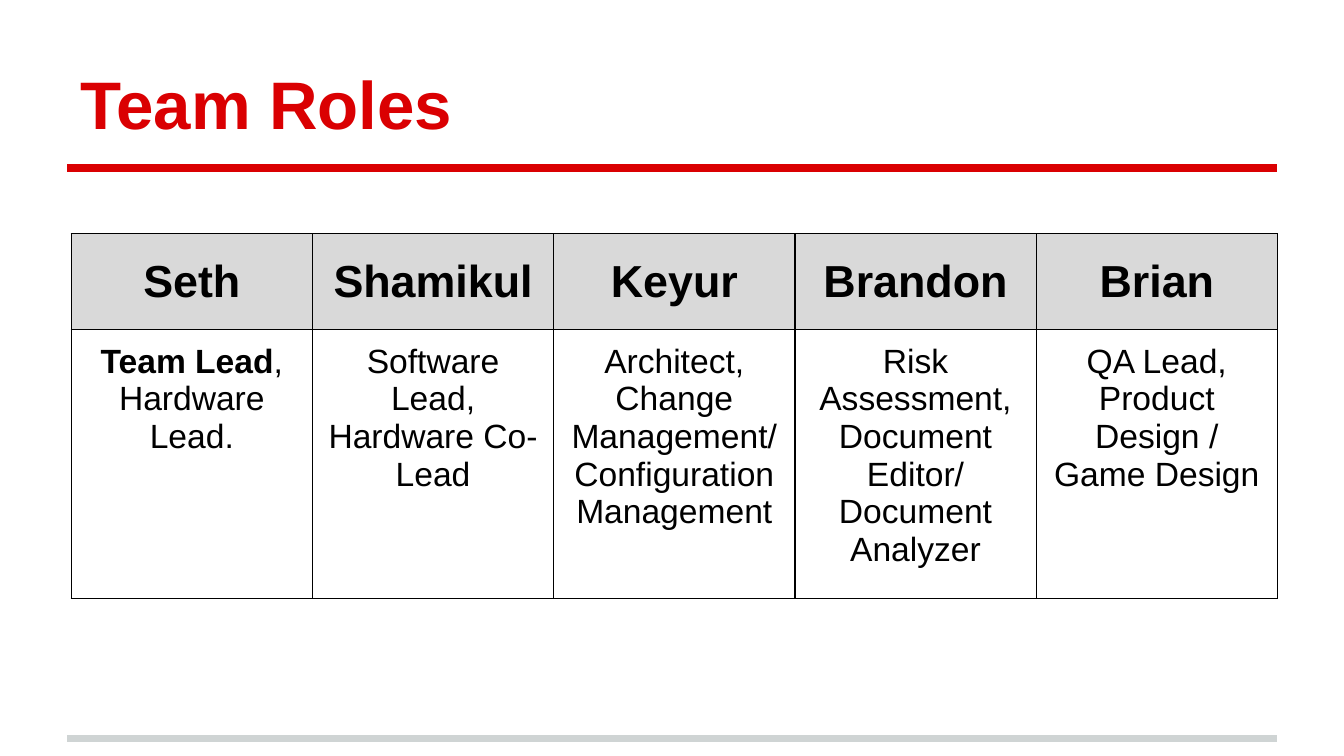
import typing
from dataclasses import dataclass

import lxml.etree
import pptx
import pptx.dml.color
import pptx.enum.shapes
import pptx.enum.text
import pptx.oxml.ns
import pptx.util

PX = 4572
ANCHOR = pptx.enum.text.MSO_ANCHOR


@dataclass(frozen=True)
class Theme:
    font: str = "Arial"
    red: str = "DA0002"
    footer: str = "CFD4D4"
    ink: str = "000000"
    header: str = "D9D9D9"
    title_size: int = 36
    name_size: int = 24
    role_size: int = 18
    rule_width: float = 4
    border_width: float = 0.75


class Rule(typing.NamedTuple):
    y: int
    color: str


@dataclass(frozen=True)
class Member:
    name: str
    roles: tuple[str, ...]
    lead: str = ""


THEME = Theme()
LEFT, RIGHT, INSET = 100, 1900, 20
RULES = (Rule(1099, THEME.footer), Rule(250, THEME.red))
MEMBERS = (
    Member("Seth", (",", "Hardware Lead."), lead="Team Lead"),
    Member("Shamikul", ("Software Lead,", "Hardware Co-Lead")),
    Member("Keyur", ("Architect,", "Change Management/", "Configuration Management")),
    Member("Brandon", ("Risk Assessment,", "Document Editor/ Document Analyzer")),
    Member("Brian", ("QA Lead,", "Product Design / Game Design")),
)


def px(length: int) -> pptx.util.Emu:
    return pptx.util.Emu(length * PX)


def rgb(color: str) -> pptx.dml.color.RGBColor:
    return pptx.dml.color.RGBColor.from_string(color)


def set_font(paragraph, size: int, color: str, bold: bool) -> None:
    paragraph.font.name = THEME.font
    paragraph.font.size = pptx.util.Pt(size)
    paragraph.font.color.rgb = rgb(color)
    paragraph.font.bold = bold


def set_insets(frame) -> None:
    frame.margin_left = frame.margin_right = px(INSET)
    frame.margin_top = frame.margin_bottom = px(INSET)


def draw_rule(slide, rule: Rule) -> None:
    line = slide.shapes.add_connector(
        pptx.enum.shapes.MSO_CONNECTOR.STRAIGHT,
        px(LEFT), px(rule.y), px(RIGHT), px(rule.y),
    )
    line.line.color.rgb = rgb(rule.color)
    line.line.width = pptx.util.Pt(THEME.rule_width)
    lxml.etree.SubElement(line._element.spPr, pptx.oxml.ns.qn("a:effectLst"))


def draw_title(slide, title: str) -> None:
    heading = slide.shapes.add_textbox(px(LEFT), px(45), px(RIGHT - LEFT), px(188))
    frame = heading.text_frame
    frame.word_wrap = True
    frame.vertical_anchor = ANCHOR.BOTTOM
    set_insets(frame)
    frame.text = title
    set_font(frame.paragraphs[0], THEME.title_size, THEME.red, True)


def set_borders(cell) -> None:
    properties = cell._tc.get_or_add_tcPr()
    for position, side in enumerate(("lnL", "lnR", "lnT", "lnB")):
        border = lxml.etree.Element(
            pptx.oxml.ns.qn(f"a:{side}"), w=str(pptx.util.Pt(THEME.border_width))
        )
        fill = lxml.etree.SubElement(border, pptx.oxml.ns.qn("a:solidFill"))
        lxml.etree.SubElement(fill, pptx.oxml.ns.qn("a:srgbClr"), val=THEME.ink)
        properties.insert(position, border)


def fill_cell(cell, lines: tuple[str, ...], size: int, bold: bool) -> None:
    cell.text = "\n".join(lines)
    set_insets(cell)
    for paragraph in cell.text_frame.paragraphs:
        paragraph.alignment = pptx.enum.text.PP_ALIGN.CENTER
        set_font(paragraph, size, THEME.ink, bold)
    set_borders(cell)


def draw_member(table, column: int, member: Member) -> None:
    name = table.cell(0, column)
    fill_cell(name, (member.name,), THEME.name_size, True)
    name.vertical_anchor = ANCHOR.MIDDLE
    name.fill.solid()
    name.fill.fore_color.rgb = rgb(THEME.header)

    roles = table.cell(1, column)
    fill_cell(roles, member.roles, THEME.role_size, False)
    roles.vertical_anchor = ANCHOR.TOP
    roles.fill.background()
    if member.lead:
        first = roles.text_frame.paragraphs[0]
        rest = first.runs[0].text
        first.runs[0].text = member.lead
        first.runs[0].font.bold = True
        first.add_run().text = rest


def draw_roles(slide, members: tuple[Member, ...]) -> None:
    column_width, row_heights = 359, (142, 288)
    table = slide.shapes.add_table(
        len(row_heights), len(members), px(106), px(348),
        px(column_width * len(members)), px(sum(row_heights)),
    ).table
    table.first_row = table.horz_banding = False
    for row, height in zip(table.rows, row_heights):
        row.height = px(height)
    for column, member in enumerate(members):
        table.columns[column].width = px(column_width)
        draw_member(table, column, member)


def main() -> None:
    deck = pptx.Presentation()
    deck.slide_width, deck.slide_height = px(2000), px(1125)
    slide = deck.slides.add_slide(deck.slide_layouts[6])
    for rule in RULES:
        draw_rule(slide, rule)
    draw_title(slide, "Team Roles")
    draw_roles(slide, MEMBERS)
    deck.save("out.pptx")


if __name__ == "__main__":
    main()
